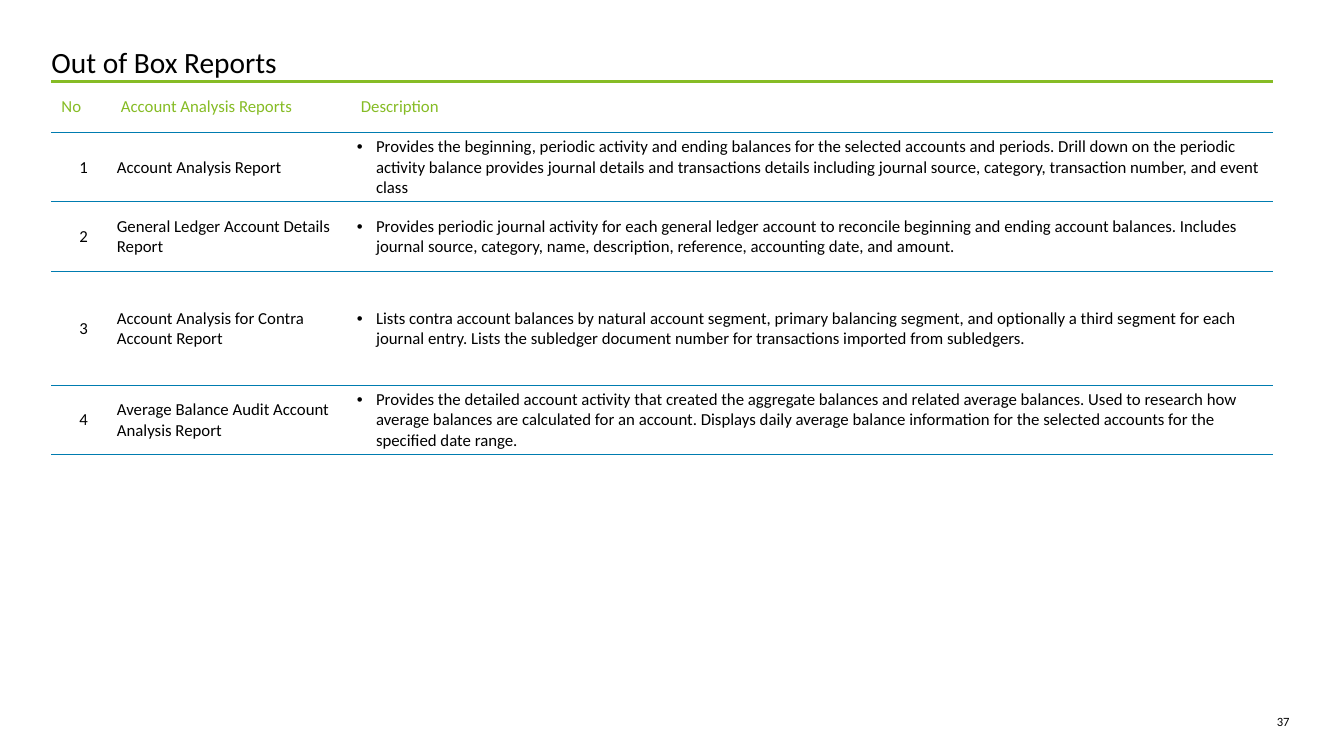
from lxml.etree import SubElement
from pptx import Presentation
from pptx.dml.color import RGBColor
from pptx.enum.text import MSO_ANCHOR as Anchor, PP_ALIGN as Align
from pptx.oxml.ns import qn
from pptx.util import Inches, Pt

TITLE = "Out of Box Reports"
PAGE_NUMBER = "37"
HEADINGS = ("No", "Account Analysis Reports", "Description")
REPORTS = [
    ("Account Analysis Report",
     "Provides the beginning, periodic activity and ending balances for the selected accounts "
     "and periods. Drill down on the periodic activity balance provides journal details and "
     "transactions details including journal source, category, transaction number, and event class"),
    ("General Ledger Account Details Report",
     "Provides periodic journal activity for each general ledger account to reconcile beginning "
     "and ending account balances. Includes journal source, category, name, description, "
     "reference, accounting date, and amount."),
    ("Account Analysis for Contra Account Report",
     "Lists contra account balances by natural account segment, primary balancing segment, and "
     "optionally a third segment for each journal entry. Lists the subledger document number "
     "for transactions imported from subledgers."),
    ("Average Balance Audit Account Analysis Report",
     "Provides the detailed account activity that created the aggregate balances and related "
     "average balances. Used to research how average balances are calculated for an account. "
     "Displays daily average balance information for the selected accounts for the specified "
     "date range."),
]
THEME = {
    "font": "Calibri", "text": "000000", "accent": "86BC25", "rule": "007CB0", "paper": "FFFFFF",
    "title_size": 21, "table_size": 12, "page_size": 9, "accent_width": 3, "rule_width": 0.25,
}
COLUMN_WIDTHS = (0.59, 2.38, 9.15)
ROW_HEIGHTS = (0.5, 0.69, 0.69, 1.13, 0.69)
HEADING_MARGINS = (0.1, 0.1, 0.1, 0.1)
BODY_MARGINS = (0.01, 0.01, 0.01, 0)
LEFT, TABLE_TOP = 0.51, 0.81


def style(paragraph, size, color, align=Align.LEFT):
    paragraph.alignment = align
    font = paragraph.font
    font.name, font.size, font.bold = THEME["font"], Pt(THEME[size]), False
    font.color.rgb = RGBColor.from_string(THEME[color])


def set_margins(holder, margins):
    (holder.margin_left, holder.margin_top,
     holder.margin_right, holder.margin_bottom) = map(Inches, margins)


def add_label(slide, text, box, size, align=Align.LEFT):
    frame = slide.shapes.add_textbox(*map(Inches, box)).text_frame
    frame.word_wrap = True
    set_margins(frame, (0, 0, 0, 0))
    frame.text = text
    style(frame.paragraphs[0], size, "text", align)


def set_borders(cell, top):
    properties = cell._tc.get_or_add_tcPr()
    for side, kind in (("L", None), ("R", None), ("T", top), ("B", "rule")):
        line = SubElement(properties, qn(f"a:ln{side}"))
        if kind is None:
            line.set("w", "0")
            SubElement(line, qn("a:noFill"))
            continue
        line.set("w", str(Pt(THEME[f"{kind}_width"])))
        fill = SubElement(line, qn("a:solidFill"))
        SubElement(fill, qn("a:srgbClr")).set("val", THEME[kind])


def set_indent(paragraph, margin, first_line=0, bullet=None):
    properties = paragraph._p.get_or_add_pPr()
    properties.set("marL", str(Inches(margin)))
    properties.set("indent", str(Inches(first_line)))
    if bullet:
        SubElement(properties, qn("a:buFont")).set("typeface", "Arial")
        SubElement(properties, qn("a:buChar")).set("char", bullet)


def fill_cell(cell, text, row, column):
    heading = row == 0
    cell.text = text
    cell.vertical_anchor = Anchor.MIDDLE
    set_margins(cell, HEADING_MARGINS if heading else BODY_MARGINS)
    set_borders(cell, "accent" if heading else "rule")
    cell.fill.solid()
    cell.fill.fore_color.rgb = RGBColor.from_string(THEME["paper"])
    paragraph = cell.text_frame.paragraphs[0]
    if not heading:
        if column == 2:
            set_indent(paragraph, 0.24, -0.19, "•")
        else:
            set_indent(paragraph, 0.05)
    centred = column == 0 and not heading
    style(paragraph, "table_size", "accent" if heading else "text",
          Align.CENTER if centred else Align.LEFT)


def add_reports(slide):
    rows = [HEADINGS] + [(str(number), *report) for number, report in enumerate(REPORTS, 1)]
    box = (LEFT, TABLE_TOP, sum(COLUMN_WIDTHS), sum(ROW_HEIGHTS))
    table = slide.shapes.add_table(len(rows), len(HEADINGS), *map(Inches, box)).table
    table.first_row = table.horz_banding = False
    for column, width in zip(table.columns, COLUMN_WIDTHS):
        column.width = Inches(width)
    for row, height in zip(table.rows, ROW_HEIGHTS):
        row.height = Inches(height)
    for r, texts in enumerate(rows):
        for c, text in enumerate(texts):
            fill_cell(table.cell(r, c), text, r, c)


def main():
    deck = Presentation()
    deck.slide_width, deck.slide_height = Inches(13.33), Inches(7.5)
    slide = deck.slides.add_slide(deck.slide_layouts[6])
    add_label(slide, PAGE_NUMBER, (12.45, 7.08, 0.34, 0.15), "page_size", Align.RIGHT)
    add_label(slide, TITLE, (LEFT, 0.44, 12.31, 0.37), "title_size")
    add_reports(slide)
    deck.save("out.pptx")


if __name__ == "__main__":
    main()
